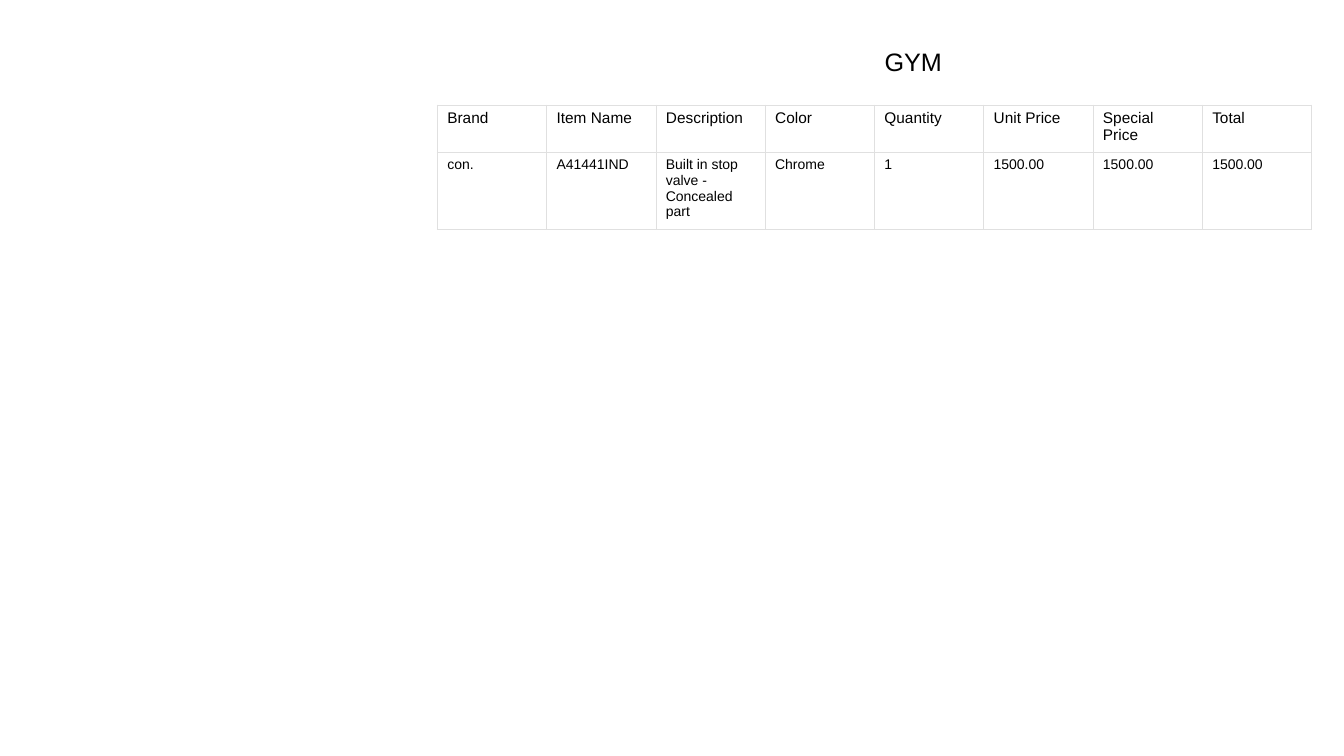
from lxml import etree
from pptx import Presentation
from pptx.dml.color import RGBColor
from pptx.enum.text import MSO_ANCHOR, MSO_AUTO_SIZE, PP_ALIGN
from pptx.oxml.ns import qn
from pptx.util import Inches, Pt

LEFT = PP_ALIGN.LEFT
MIDDLE = MSO_ANCHOR.MIDDLE
NO_AUTOFIT = MSO_AUTO_SIZE.NONE

BLACK = RGBColor(0x00, 0x00, 0x00)
GRID = RGBColor(0xE0, 0xE0, 0xE0)
FONT = "Arial"
TITLE_ONLY = 5

ITEMS = [
    ["Brand", "Item Name", "Description", "Color",
     "Quantity", "Unit Price", "Special Price", "Total"],
    ["con.", "A41441IND", "Built in stop valve - Concealed part", "Chrome",
     "1", "1500.00", "1500.00", "1500.00"],
]
ROW_HEIGHTS = [0.47, 0.77]
ROW_SIZES = [11, 10]


def set_font(p, size):
    p.alignment = LEFT
    p.font.name = FONT
    p.font.size = Pt(size)
    p.font.bold = False
    p.font.color.rgb = BLACK


def set_borders(cell):
    tcPr = cell._tc.get_or_add_tcPr()
    for i, side in enumerate(("a:lnL", "a:lnR", "a:lnT", "a:lnB")):
        ln = etree.Element(qn(side), w=str(Pt(0.45)))
        fill = etree.SubElement(ln, qn("a:solidFill"))
        etree.SubElement(fill, qn("a:srgbClr"), val=str(GRID))
        tcPr.insert(i, ln)


def add_title(s, text, x, y, w, h):
    title = s.shapes.title
    title.left, title.top = Inches(x), Inches(y)
    title.width, title.height = Inches(w), Inches(h)
    tf = title.text_frame
    tf.text = text
    tf.word_wrap = True
    tf.auto_size = NO_AUTOFIT
    tf.vertical_anchor = MIDDLE
    set_font(tf.paragraphs[0], 18)


def add_price_table(s, x, y, w):
    cols = len(ITEMS[0])
    table = s.shapes.add_table(len(ITEMS), cols, Inches(x), Inches(y),
                               Inches(w), Inches(sum(ROW_HEIGHTS))).table
    table.first_row = table.horz_banding = False
    for col in table.columns:
        col.width = Inches(w / cols)
    for row, values, height, size in zip(table.rows, ITEMS, ROW_HEIGHTS, ROW_SIZES):
        row.height = Inches(height)
        for cell, value in zip(row.cells, values):
            cell.text = value
            cell.fill.background()
            set_borders(cell)
            set_font(cell.text_frame.paragraphs[0], size)


def main():
    prs = Presentation()
    prs.slide_width, prs.slide_height = Inches(13.34), Inches(7.5)
    s = prs.slides.add_slide(prs.slide_layouts[TITLE_ONLY])
    add_title(s, "GYM", 8.68, 0.17, 1.74, 0.87)
    add_price_table(s, 4.34, 1.04, 8.68)
    prs.save("out.pptx")


if __name__ == "__main__":
    main()
